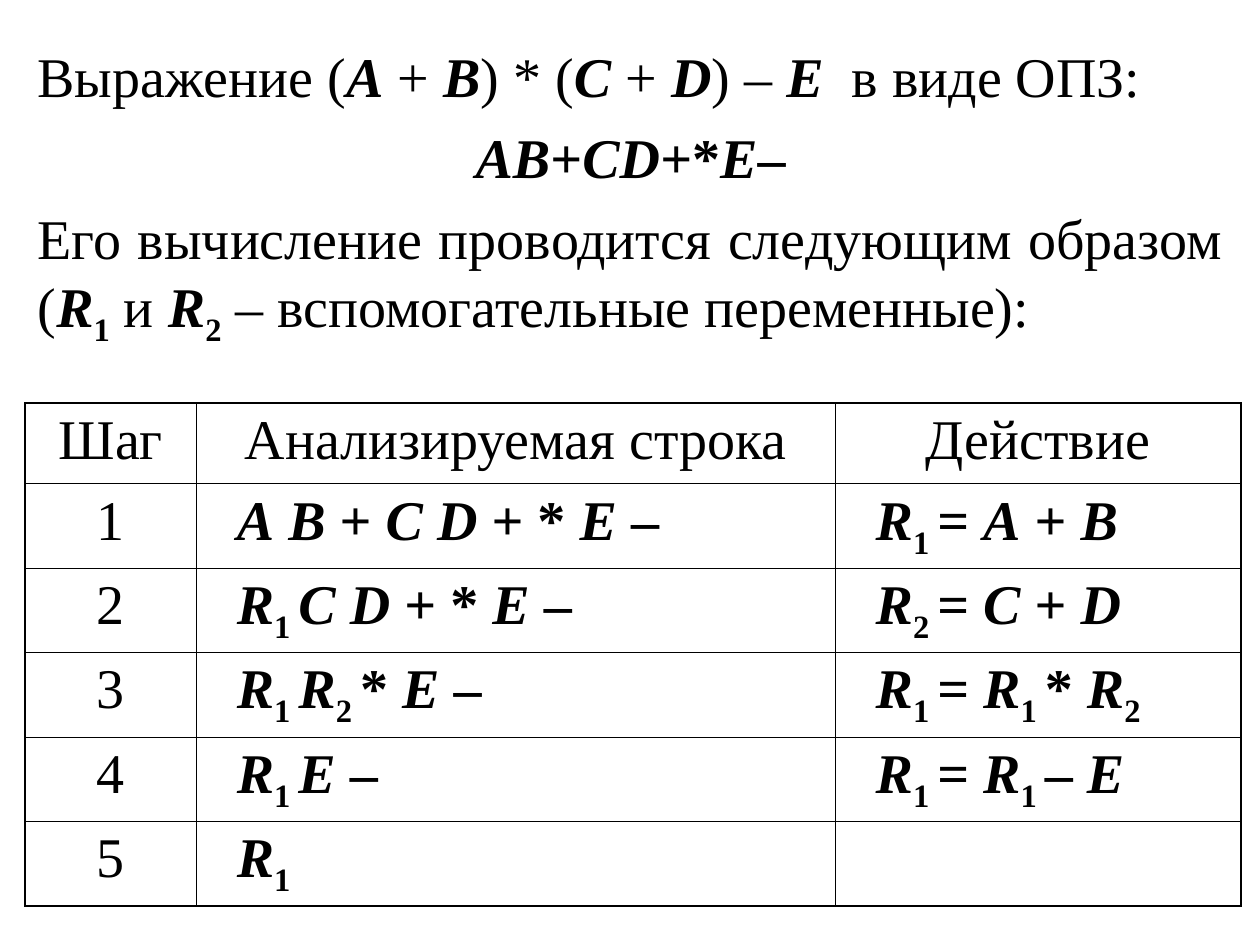
from itertools import groupby, product
from lxml.etree import SubElement
from pptx import Presentation
from pptx.dml.color import RGBColor
from pptx.enum.text import MSO_AUTO_SIZE, PP_ALIGN
from pptx.oxml.ns import qn
from pptx.util import Inches, Pt

BLACK = RGBColor(0, 0, 0)
FONT = "Times New Roman"
SIZE = Pt(32)
OUTER, INNER = Pt(1.08), Pt(0.45)
LEFT, CENTER, JUSTIFY = PP_ALIGN.LEFT, PP_ALIGN.CENTER, PP_ALIGN.JUSTIFY

INTRO = [
    ("Выражение (A + B) * (C + D) – E  в виде ОПЗ:", JUSTIFY, False),
    ("AB+CD+*E–", CENTER, True),
    ("Его вычисление проводится следующим образом "
     "(R1 и R2 – вспомогательные переменные):", JUSTIFY, False),
]
HEADERS = ["Шаг", "Анализируемая строка", "Действие"]
STEPS = [
    ("A B + C D + * E –", "R1 = A + B"),
    ("R1 C D + * E –", "R2 = C + D"),
    ("R1 R2 * E –", "R1 = R1 * R2"),
    ("R1 E –", "R1 = R1 – E"),
    ("R1", ""),
]
COLS = [1.36, 5.07, 3.22]
ROWS = [0.64] + [0.67] * len(STEPS)
FORMULA_INDENT = 0.32


def kinds(text, formula):
    previous = ""
    for char in text:
        if char.isascii() and char.isalpha():
            kind = "variable"
        elif previous == "R" or formula and char == " " and previous.isdigit():
            kind = "index"
        else:
            kind = "plain"
        yield kind, char
        previous = char


def write(p, text, align, formula=False):
    p.alignment = align
    p.space_before = Pt(8)
    for kind, group in groupby(kinds(text, formula), key=lambda pair: pair[0]):
        r = p.add_run()
        r.text = "".join(char for _, char in group)
        r.font.name = FONT
        r.font.size = SIZE
        r.font.color.rgb = BLACK
        r.font.bold = formula or kind != "plain"
        r.font.italic = kind == "variable"
        if kind == "index":
            r.font._element.set("baseline", "-25000")


def draw_borders(cell, row, col):
    edges = {"L": col == 0, "R": col == len(COLS) - 1,
             "T": row == 0, "B": row == len(ROWS) - 1}
    tc_pr = cell._tc.get_or_add_tcPr()
    for side, outer in edges.items():
        ln = SubElement(tc_pr, qn(f"a:ln{side}"), w=str(OUTER if outer else INNER))
        fill = SubElement(ln, qn("a:solidFill"))
        SubElement(fill, qn("a:srgbClr"), val=str(BLACK))


prs = Presentation()
prs.slide_width, prs.slide_height = Inches(10), Inches(7.5)
s = prs.slides.add_slide(prs.slide_layouts[6])

table = s.shapes.add_table(len(ROWS), len(COLS), Inches(0.2), Inches(3.2),
                           Inches(sum(COLS)), Inches(sum(ROWS))).table
table.first_row = table.horz_banding = False
for column, width in zip(table.columns, COLS):
    column.width = Inches(width)
for table_row, height in zip(table.rows, ROWS):
    table_row.height = Inches(height)

content = [HEADERS] + [(str(n), *step) for n, step in enumerate(STEPS, 1)]
for row, col in product(range(len(ROWS)), range(len(COLS))):
    cell = table.cell(row, col)
    formula = row > 0 and col > 0
    if formula:
        cell.margin_left = Inches(FORMULA_INDENT)
    draw_borders(cell, row, col)
    cell.fill.background()
    write(cell.text_frame.paragraphs[0], content[row][col],
          LEFT if formula else CENTER, formula)

tf = s.shapes.add_textbox(Inches(0.2), Inches(0.28), Inches(9.61), Inches(2.53)).text_frame
tf.word_wrap = True
tf.auto_size = MSO_AUTO_SIZE.SHAPE_TO_FIT_TEXT
for n, (text, align, formula) in enumerate(INTRO):
    write(tf.add_paragraph() if n else tf.paragraphs[0], text, align, formula)

prs.save("out.pptx")
